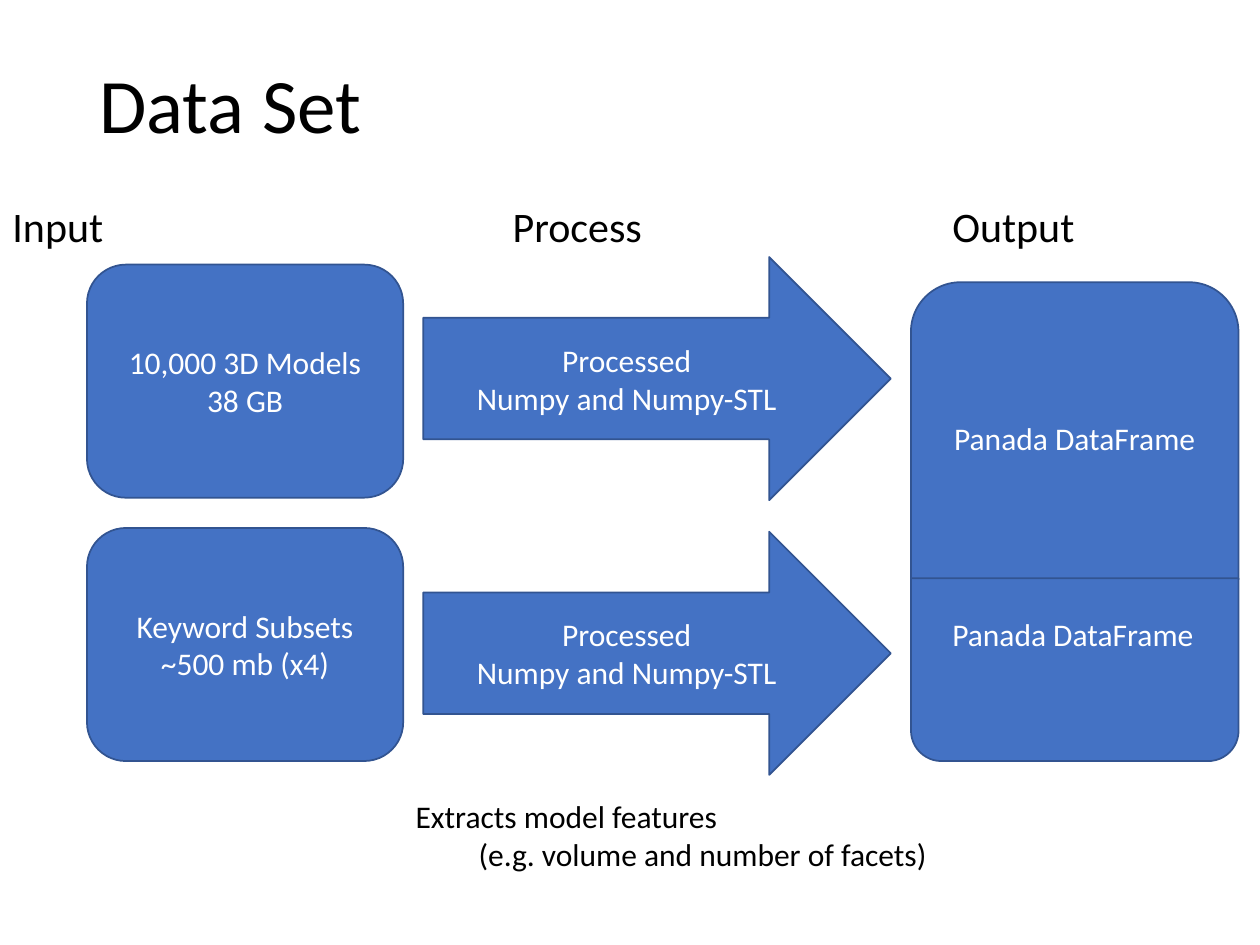
import pptx
import pptx.dml.color
import pptx.enum.shapes
import pptx.enum.text
import pptx.oxml
import pptx.oxml.ns
import pptx.util

Inches = pptx.util.Inches
SHAPES = pptx.enum.shapes.MSO_SHAPE
ANCHOR = pptx.enum.text.MSO_ANCHOR
ALIGN = pptx.enum.text.PP_ALIGN

BLUE, DARK_BLUE, BLACK, WHITE = "4472C4", "325491", "000000", "FFFFFF"


def color(hex_string):
    return pptx.dml.color.RGBColor.from_string(hex_string)


def write_lines(text_frame, lines, size, text_color, alignment=ALIGN.LEFT):
    """Fill a text frame with one paragraph per line."""
    text_frame.text = "\n".join(lines)
    for paragraph in text_frame.paragraphs:
        paragraph.alignment = alignment
        paragraph.font.name = "Calibri"
        paragraph.font.size = pptx.util.Pt(size)
        paragraph.font.color.rgb = color(text_color)


def add_text(slide, box, lines, size=18, text_color=BLACK, wrap=True):
    textbox = slide.shapes.add_textbox(*map(Inches, box))
    textbox.text_frame.word_wrap = wrap
    write_lines(textbox.text_frame, lines, size, text_color)
    return textbox.text_frame


def add_block(slide, kind, box, lines=()):
    """Add a blue outlined shape with centred white text."""
    shape = slide.shapes.add_shape(kind, *map(Inches, box))
    shape.shadow.inherit = False
    shape.fill.solid()
    shape.fill.fore_color.rgb = color(BLUE)
    shape.line.color.rgb = color(DARK_BLUE)
    shape.line.width = pptx.util.Pt(1)
    if lines:
        shape.text_frame.vertical_anchor = ANCHOR.MIDDLE
        write_lines(shape.text_frame, lines, 18, WHITE, ALIGN.CENTER)
    return shape


def add_tab_stop(paragraph, position):
    properties = paragraph._p.get_or_add_pPr()
    tab_list = pptx.oxml.parse_xml(
        f'<a:tabLst {pptx.oxml.ns.nsdecls("a")}>'
        f'<a:tab pos="{Inches(position)}" algn="l"/></a:tabLst>')
    properties.insert(0, tab_list)


def main():
    presentation = pptx.Presentation()
    presentation.slide_width = Inches(10)
    presentation.slide_height = Inches(7.5)
    slide = presentation.slides.add_slide(presentation.slide_layouts[6])

    # Title and column headings
    title = add_text(slide, (0.69, 0.14, 8.62, 1.45), ["Data Set"], 44)
    title.vertical_anchor = ANCHOR.MIDDLE
    title.paragraphs[0].line_spacing = 0.9
    for left, heading in ((0, "Input"), (3.97, "Process"), (7.46, "Output")):
        add_text(slide, (left, 1.54, 1.25, 0.5), [heading], 24)

    # Each input row leads into a processing arrow
    rows = (
        (2.1, 2.04, ["10,000 3D Models", "38 GB"]),
        (4.19, 4.22, ["Keyword Subsets", "~500 mb (x4)"]),
    )
    for input_top, arrow_top, lines in rows:
        add_block(slide, SHAPES.ROUNDED_RECTANGLE,
                  (0.69, input_top, 2.51, 1.85), lines)
        add_block(slide, SHAPES.RIGHT_ARROW, (3.36, arrow_top, 3.71, 1.93),
                  ["Processed", "Numpy and Numpy-STL"])

    # Output: two halves of one rounded block, the lower one turned over
    output = ["Panada DataFrame"]
    add_block(slide, SHAPES.ROUND_2_SAME_RECTANGLE,
              (7.23, 2.24, 2.6, 2.36), output)
    lower_half = add_block(slide, SHAPES.ROUND_2_SAME_RECTANGLE,
                           (7.23, 4.59, 2.6, 1.45))
    lower_half.rotation = 180
    add_text(slide, (7.46, 4.83, 2.14, 0.71), output,
             text_color=WHITE, wrap=False)

    # Note under the arrows
    note = add_text(slide, (3.2, 6.28, 4.31, 0.71),
                    ["Extracts model features",
                     "\t(e.g. volume and number of facets)"], wrap=False)
    add_tab_stop(note.paragraphs[1], 0.5)

    presentation.save("out.pptx")


if __name__ == "__main__":
    main()
